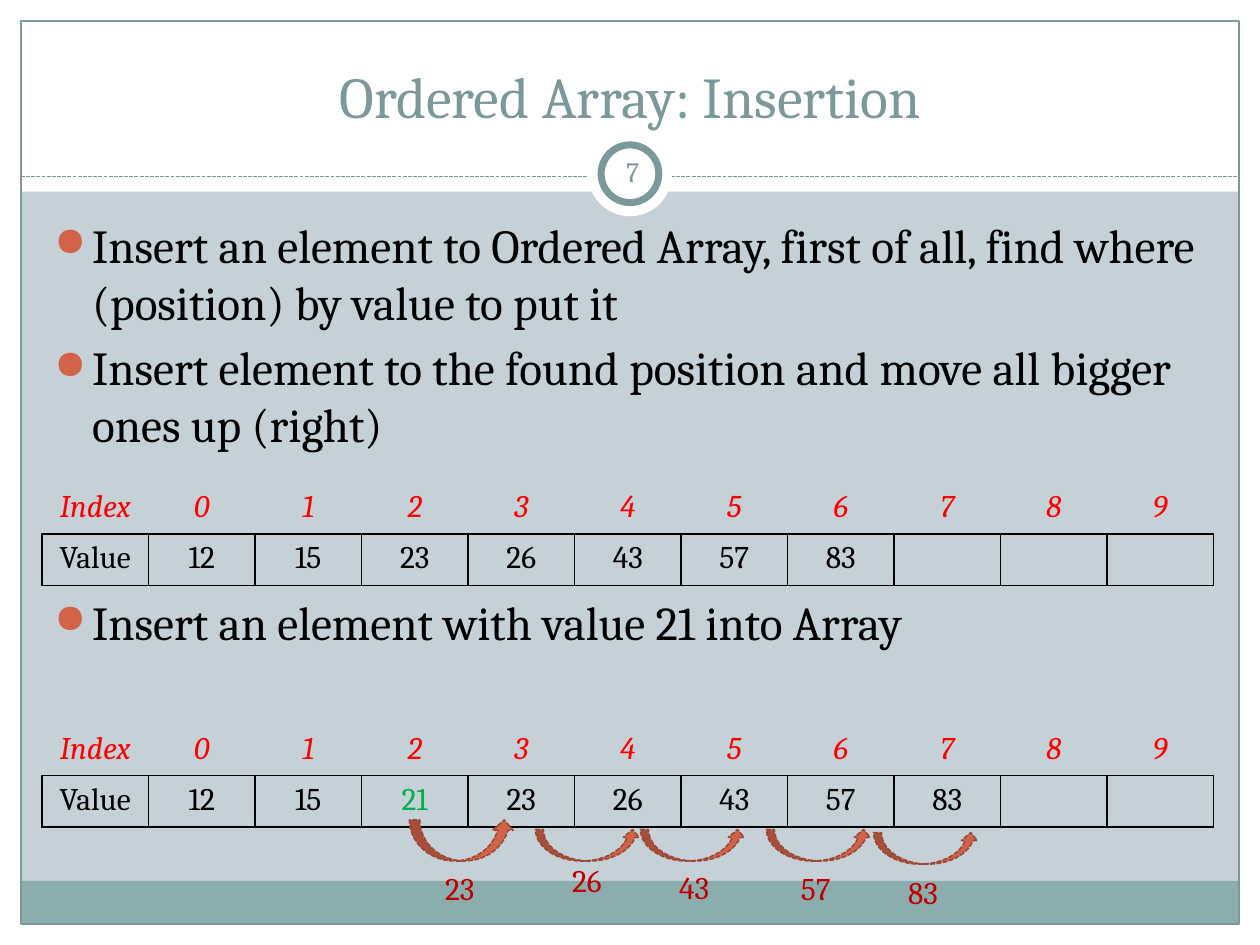
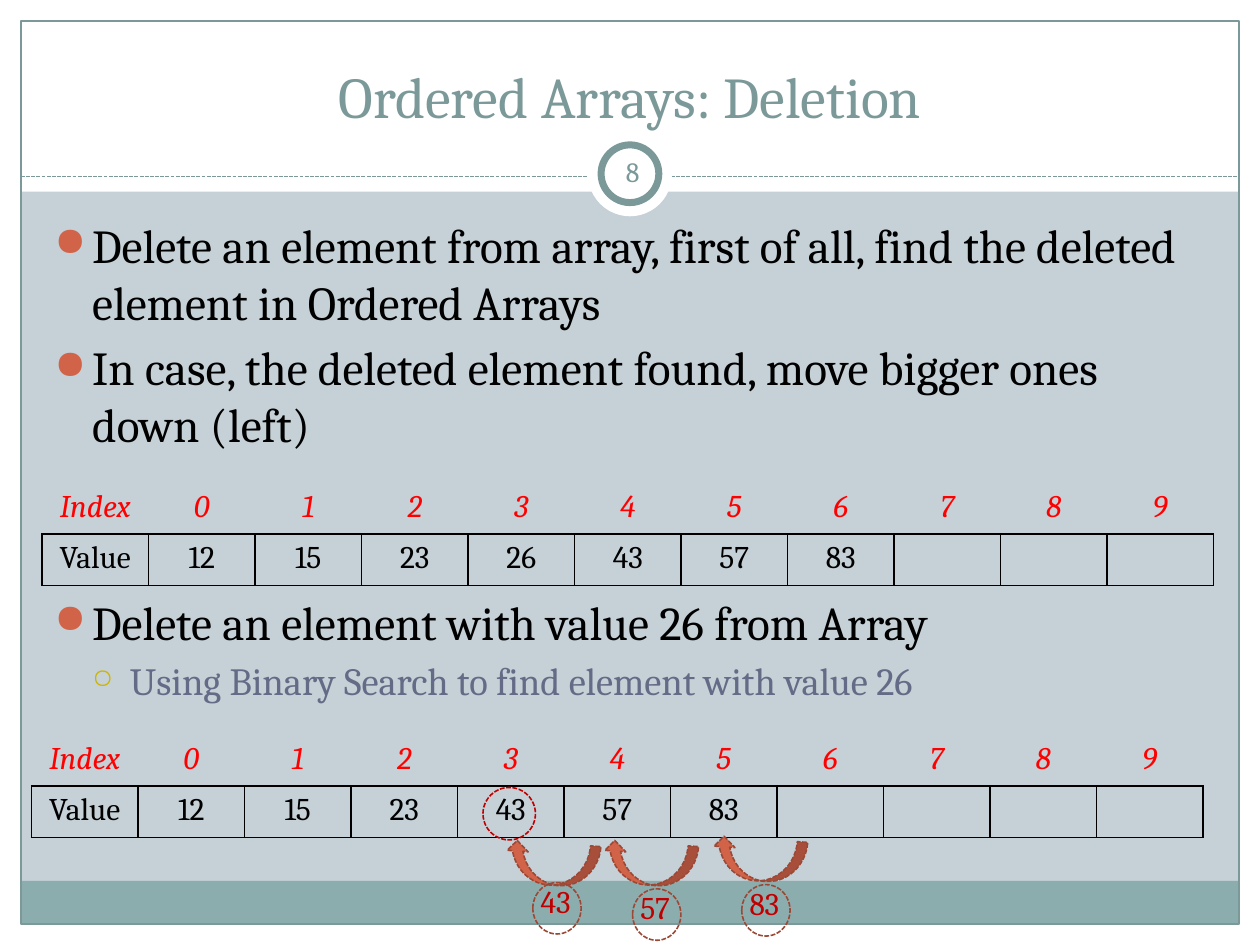
from dataclasses import dataclass
from typing import NamedTuple, Optional

from lxml import etree
from pptx import Presentation
from pptx import util as u
from pptx.dml.color import RGBColor
from pptx.enum import dml, shapes, text
from pptx.oxml import ns

# The slide is a grid of 120 columns by 90 rows.
COLS, ROWS = 120, 90
WIDTH, HEIGHT = u.Inches(10), u.Inches(7.5)
FONT = "Cambria"
WHITE, BLACK = "FFFFFF", "000000"
BACKGROUND, BAND, SLATE = "C5D1D7", "8CADAE", "7C999A"
ORANGE, RUST, DARK_RED = "D16349", "9B4936", "C00000"
INDEX_RED, NEW_GREEN, SUB_GREY, SUB_GOLD = "FF0000", "00B050", "646B86", "CCB400"
NO_TABLE_STYLE = "{2D5ABB26-0587-4C30-8999-92F81FD0307C}"
CELLS = 10
SHAPE = shapes.MSO_SHAPE
CENTER = text.PP_ALIGN.CENTER


class Box(NamedTuple):
    """Left, top, width and height in grid columns and rows."""
    x: float
    y: float
    w: float
    h: float

    def emu(self) -> tuple[int, ...]:
        return (col(self.x), row(self.y), col(self.w), row(self.h))


class Line(NamedTuple):
    color: str
    width: float
    dashed: bool = False


class Bullet(NamedTuple):
    text: str
    before: float = 5.2
    sub: bool = False


class ArrayTable(NamedTuple):
    x: float
    y: float
    values: list[int]
    new_value: Optional[int] = None


class Move(NamedTuple):
    """A value that changes its cell: the arrow and the place of its label."""
    value: int
    arrow: Box
    x: float
    y: float


@dataclass
class ArraySlide:
    title: str
    bullets: list[Bullet]
    after: ArrayTable
    moves: list[Move]
    leftward: bool = False
    found: Optional[Box] = None


FRAME_LINE = Line(SLATE, 0.75)
RULE_LINE = Line(SLATE, 0.75, True)
ARROW_LINE = Line(RUST, 0.9, True)
BEFORE = ArrayTable(4, 46, [12, 15, 23, 26, 43, 57, 83])
TABLE_GAP = 80.5  # points left free for the first table

SLIDES = [
    ArraySlide(
        "Ordered Array: Insertion",
        [Bullet("Insert an element to Ordered Array, first of all, find where (position) by value to put it"),
         Bullet("Insert element to the found position and move all bigger ones up (right)"),
         Bullet("Insert an element with value 21 into Array", TABLE_GAP)],
        ArrayTable(4, 69, [12, 15, 21, 23, 26, 43, 57, 83], 21),
        [Move(23, Box(39, 78.1, 10, 3.9), 41.2, 82.2),
         Move(26, Box(51, 79, 10, 3), 53.3, 81.4),
         Move(43, Box(61, 79, 10, 3), 63.5, 82.1),
         Move(57, Box(73, 79, 10, 3), 75.1, 82.2),
         Move(83, Box(83.2, 79.3, 10, 3), 85.3, 82.6)]),
    ArraySlide(
        "Ordered Arrays: Deletion",
        [Bullet("Delete an element from array, first of all, find the deleted element in Ordered Arrays"),
         Bullet("In case, the deleted element found, move bigger ones down (left)"),
         Bullet("Delete an element with value 26 from Array", TABLE_GAP),
         Bullet("Using Binary Search to find element with value 26", 4.3, True)],
        ArrayTable(3, 70, [12, 15, 23, 43, 57, 83]),
        [Move(43, Box(48.1, 80.3, 9, 4), 50.3, 83.4),
         Move(57, Box(57.4, 80.3, 9, 4), 59.8, 84),
         Move(83, Box(67.8, 79.9, 9, 4), 70.2, 83.6)],
        leftward=True, found=Box(46, 75, 5, 5)),
]


def col(n: float) -> int:
    return round(WIDTH * n / COLS)


def row(n: float) -> int:
    return round(HEIGHT * n / ROWS)


def rgb(color: str) -> RGBColor:
    return RGBColor.from_string(color)


def set_line(target, line: Line) -> None:
    target.line.color.rgb = rgb(line.color)
    target.line.width = u.Pt(line.width)
    if line.dashed:
        target.line.dash_style = dml.MSO_LINE.SQUARE_DOT


def add_shape(parent, kind, box: Box, fill: str = "", line: Optional[Line] = None):
    sp = parent.add_shape(kind, *box.emu())
    sp.shadow.inherit = False
    if fill:
        sp.fill.solid()
        sp.fill.fore_color.rgb = rgb(fill)
    else:
        sp.fill.background()
    if line:
        set_line(sp, line)
    else:
        sp.line.fill.background()
    return sp


def format_text(p, size: float, color: str, align=None, italic: bool = False) -> None:
    p.alignment = align
    for r in p.runs:
        r.font.name, r.font.size, r.font.italic = FONT, u.Pt(size), italic
        r.font.color.rgb = rgb(color)


def add_text(parent, box: Box, content: str, size: float, color: str, align=None,
             anchor=text.MSO_ANCHOR.TOP, inset: Optional[float] = None) -> None:
    tf = parent.add_textbox(*box.emu()).text_frame
    tf.word_wrap, tf.vertical_anchor = True, anchor
    if inset is not None:
        tf.margin_left = tf.margin_right = tf.margin_top = tf.margin_bottom = u.Inches(inset)
    tf.text = content
    format_text(tf.paragraphs[0], size, color, align)


def add_frame(s, title: str, number: int) -> None:
    """Background, bands, border, title and numbered ring."""
    s.background.fill.solid()
    s.background.fill.fore_color.rgb = rgb(BACKGROUND)
    for margin in (Box(0, 88, COLS, 2), Box(0, 0, COLS, 18.25),
                   Box(0, 0, 2, ROWS), Box(118, 0, 2, ROWS)):
        add_shape(s.shapes, SHAPE.RECTANGLE, margin, WHITE)
    add_shape(s.shapes, SHAPE.RECTANGLE, Box(2, 83.9, 116, 4.1), BAND)
    add_shape(s.shapes, SHAPE.RECTANGLE, Box(2, 2, 116, 86), line=FRAME_LINE)
    rule = s.shapes.add_connector(shapes.MSO_CONNECTOR.STRAIGHT,
                                  col(2), row(16.8), col(118), row(16.8))
    set_line(rule, RULE_LINE)
    etree.SubElement(rule._element.spPr, ns.qn("a:effectLst"))
    add_shape(s.shapes, SHAPE.OVAL, Box(56, 12.6, 8, 8), WHITE)
    add_shape(s.shapes, SHAPE.OVAL, Box(57.25, 13.8, 5.5, 5.5), WHITE, Line(SLATE, 4))
    add_text(s.shapes, Box(4, 3, 112, 10), title, 33, SLATE, CENTER, text.MSO_ANCHOR.BOTTOM)
    add_text(s.shapes, Box(57.25, 13.4, 6, 5.8), str(number), 16, SLATE, CENTER,
             text.MSO_ANCHOR.MIDDLE, 0.05)


def set_bullet(p, sub: bool) -> None:
    pPr = p._p.get_or_add_pPr()
    indent = u.Inches(0.3)
    pPr.set("marL", str(indent * (2 if sub else 1)))
    pPr.set("indent", str(-indent))
    color = etree.SubElement(pPr, ns.qn("a:buClr"))
    etree.SubElement(color, ns.qn("a:srgbClr")).set("val", SUB_GOLD if sub else ORANGE)
    etree.SubElement(pPr, ns.qn("a:buSzPct")).set("val", "70000" if sub else "85000")
    etree.SubElement(pPr, ns.qn("a:buChar")).set("char", "○" if sub else "●")


def add_bullets(s, bullets: list[Bullet]) -> None:
    tf = s.shapes.add_textbox(*Box(4, 20, 111.6, 60).emu()).text_frame
    tf.word_wrap = True
    for i, bullet in enumerate(bullets):
        p = tf.add_paragraph() if i else tf.paragraphs[0]
        p.text = bullet.text
        format_text(p, *((22, SUB_GREY) if bullet.sub else (27, BLACK)))
        p.level = int(bullet.sub)
        p.space_before = u.Pt(bullet.before)
        set_bullet(p, bullet.sub)


def set_borders(cell, sides: str) -> None:
    tcPr = cell._tc.get_or_add_tcPr()
    for i, side in enumerate(sides):
        ln = etree.Element(ns.qn(f"a:ln{side}"), w=str(u.Pt(1)))
        fill = etree.SubElement(ln, ns.qn("a:solidFill"))
        etree.SubElement(fill, ns.qn("a:srgbClr")).set("val", BLACK)
        tcPr.insert(i, ln)


def add_array(s, array: ArrayTable) -> None:
    """Index row above a boxed value row."""
    box = Box(array.x, array.y, 111.6, 9.76)
    table = s.shapes.add_table(2, CELLS + 1, *box.emu()).table
    table.first_row = table.horz_banding = False
    table._tbl.tblPr.find(ns.qn("a:tableStyleId")).text = NO_TABLE_STYLE
    values = array.values + [""] * (CELLS - len(array.values))
    for y, cells in enumerate((["Index", *range(CELLS)], ["Value", *values])):
        for x, value in enumerate(cells):
            cell = table.cell(y, x)
            cell.text = str(value)
            cell.fill.background()
            is_new = y == 1 and value == array.new_value
            color = INDEX_RED if y == 0 else NEW_GREEN if is_new else BLACK
            p = cell.text_frame.paragraphs[0]
            format_text(p, 18, color, CENTER, italic=y == 0)
            set_borders(cell, "LRTB" if y else "B")


def add_move(s, move: Move, leftward: bool) -> None:
    kind = SHAPE.CURVED_DOWN_ARROW if leftward else SHAPE.CURVED_UP_ARROW
    arrow = add_shape(s.shapes, kind, move.arrow, ORANGE, ARROW_LINE)
    parent = s.shapes
    if leftward:
        arrow.rotation = 184.2
        parent = s.shapes.add_group_shape().shapes
        add_shape(parent, SHAPE.OVAL, Box(move.x + 0.45, move.y + 0.65, 4.6, 4.9), line=ARROW_LINE)
    add_text(parent, Box(move.x, move.y, 8, 4.8), str(move.value), 18, DARK_RED)


def add_slide(prs, spec_: ArraySlide, number: int) -> None:
    s = prs.slides.add_slide(prs.slide_layouts[6])
    add_frame(s, spec_.title, number)
    add_bullets(s, spec_.bullets)
    add_array(s, BEFORE)
    add_array(s, spec_.after)
    if spec_.found:
        add_shape(s.shapes, SHAPE.OVAL, spec_.found, line=Line(DARK_RED, 0.9, True))
    for move in spec_.moves:
        add_move(s, move, spec_.leftward)


def main() -> None:
    prs = Presentation()
    prs.slide_width, prs.slide_height = WIDTH, HEIGHT
    for number, content in enumerate(SLIDES, start=7):
        add_slide(prs, content, number)
    prs.save("out.pptx")


if __name__ == "__main__":
    main()
